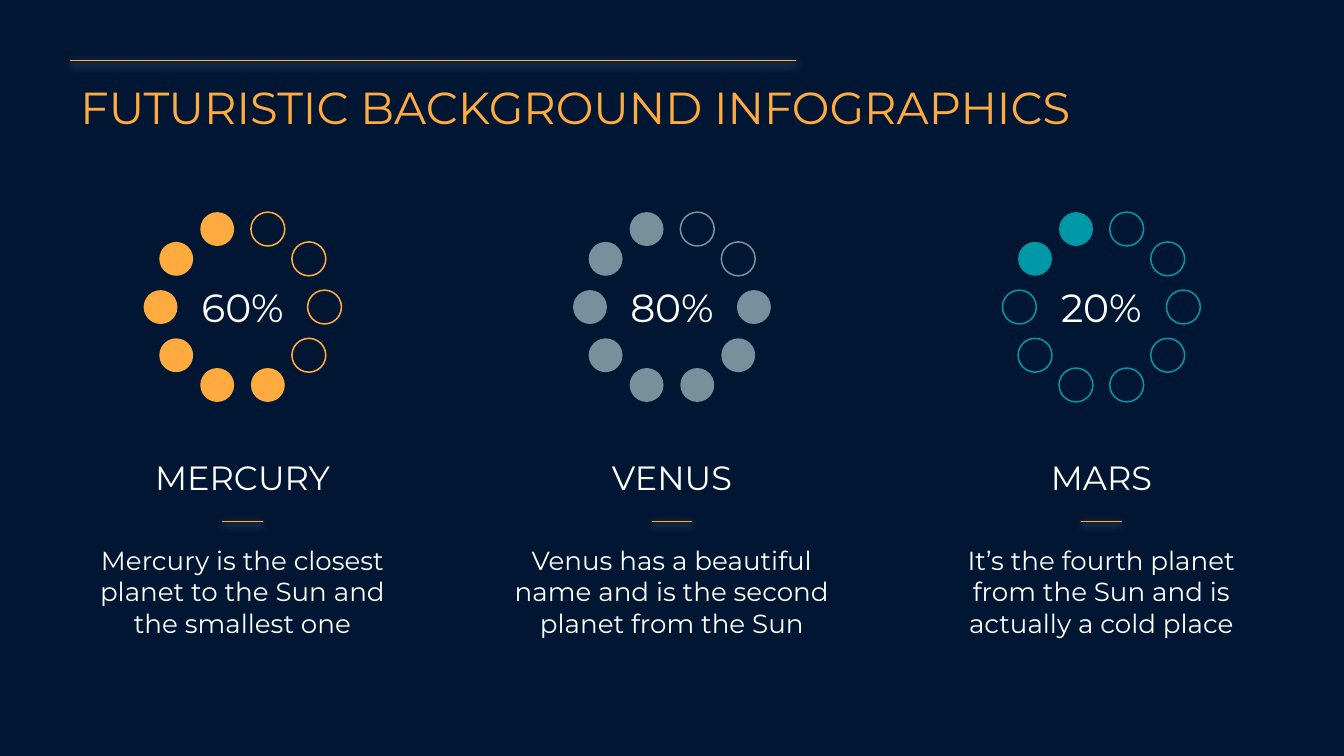
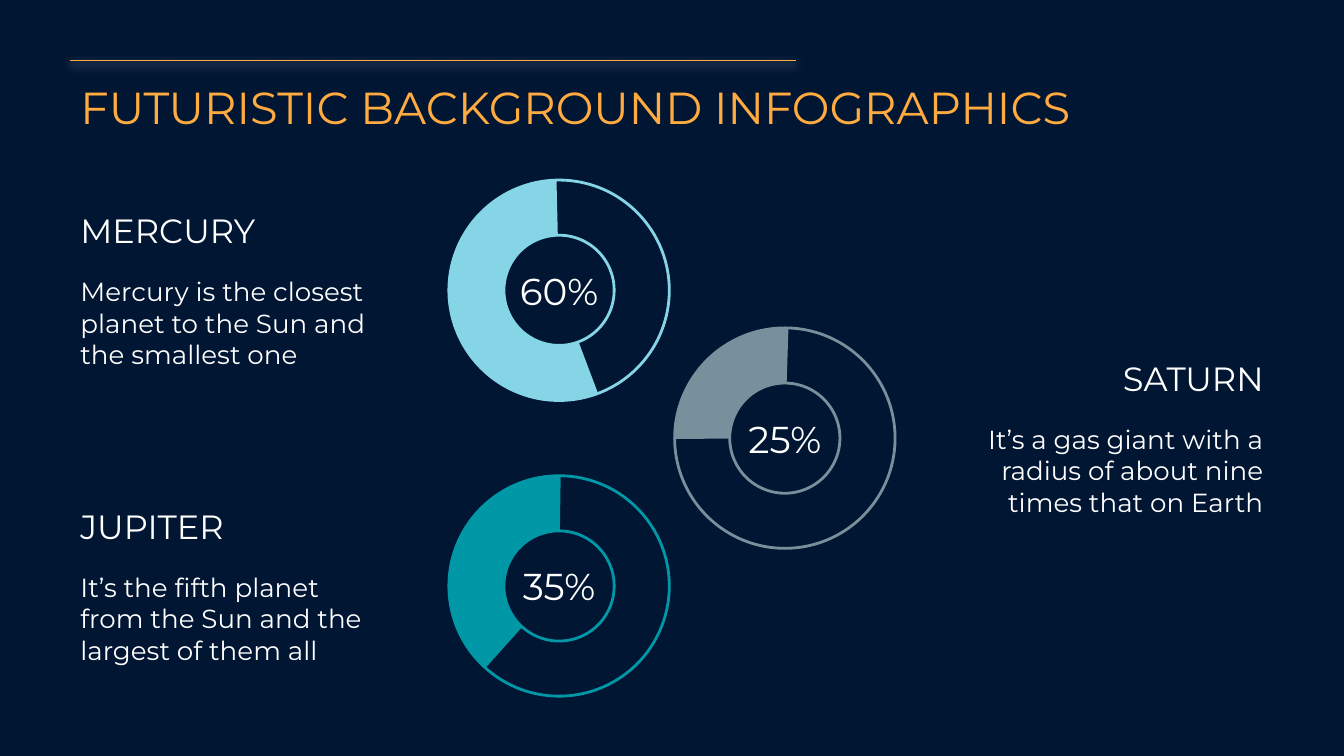
import math

from lxml import etree
from pptx import Presentation
from pptx import util as u
from pptx.dml.color import RGBColor
from pptx.enum import shapes as sh, text as tx
from pptx.oxml import ns

COLS = 100  # the slide is 100 square grid cells wide, 56.25 high
NAVY, WHITE, GOLD = "001633", "FFFFFF", "FFAB40"
GREY, TEAL, SKY = "78909C", "0097A7", "85D5E6"
ALIGN = {"l": tx.PP_ALIGN.LEFT, "c": tx.PP_ALIGN.CENTER, "r": tx.PP_ALIGN.RIGHT}
ANCHOR = {"t": tx.MSO_ANCHOR.TOP, "m": tx.MSO_ANCHOR.MIDDLE, "b": tx.MSO_ANCHOR.BOTTOM}


def color(code):
    return RGBColor.from_string(code)


def glow(line):
    """Give a line its soft white shadow."""
    fx = etree.SubElement(line._element.spPr, ns.qn("a:effectLst"))
    shade = etree.SubElement(fx, ns.qn("a:outerShdw"), blurRad="57150",
                             dist="19050", dir="5400000", algn="bl", rotWithShape="0")
    tint = etree.SubElement(shade, ns.qn("a:srgbClr"), val=WHITE)
    etree.SubElement(tint, ns.qn("a:alpha"), val="50000")


class Deck:
    font = "Montserrat"

    def __init__(self):
        self.prs = Presentation()
        self.prs.slide_width = u.Inches(10)
        self.prs.slide_height = u.Inches(5.625)
        self.cell = self.prs.slide_width / COLS
        self.slide = None

    def grid(self, *cells):
        return [u.Emu(round(n * self.cell)) for n in cells]

    def page(self, title):
        """Start a slide with the shared background, rule and title."""
        self.slide = self.prs.slides.add_slide(self.prs.slide_layouts[6])
        back = self.slide.background.fill
        back.solid()
        back.fore_color.rgb = color(NAVY)
        self.rule(5.2, 59.2, 4.5)
        self.text(title, 5, 4.9, 87.5, 5.2, size=24, ink=GOLD)

    def rule(self, start, end, row):
        line = self.slide.shapes.add_connector(
            sh.MSO_CONNECTOR.STRAIGHT, *self.grid(start, row, end, row))
        line.line.color.rgb = color(GOLD)
        line.line.width = u.Pt(0.75)
        glow(line)

    def text(self, words, x, y, w, h, size=14, ink=WHITE, align="l", anchor="t"):
        frame = self.slide.shapes.add_textbox(*self.grid(x, y, w, h)).text_frame
        frame.word_wrap = True
        frame.vertical_anchor = ANCHOR[anchor]
        frame.margin_left = frame.margin_right = u.Inches(0.1)
        frame.margin_top = frame.margin_bottom = u.Inches(0.1)
        frame.text = words
        for par in frame.paragraphs:
            par.alignment = ALIGN[align]
            for run in par.runs:
                run.font.name = self.font
                run.font.size = u.Pt(size)
                run.font.color.rgb = color(ink)

    def shape(self, kind, x, y, size, fill=None, line=None, width=1, adjust=()):
        item = self.slide.shapes.add_shape(kind, *self.grid(x, y, size, size))
        item.shadow.inherit = False
        for spot, value in enumerate(adjust):
            item.adjustments[spot] = value
        if fill:
            item.fill.solid()
            item.fill.fore_color.rgb = color(fill)
        else:
            item.fill.background()
        if line:
            item.line.color.rgb = color(line)
            item.line.width = u.Pt(width)
        else:
            item.line.fill.background()

    def ring(self, mid, row, share, hue):
        """Ten dots, filled counterclockwise from the top, one per 10%."""
        reach, size = 6.1, 2.52
        for step in range(10):
            turn = math.radians(-108 - 36 * step)
            full = step < share // 10
            self.shape(sh.MSO_SHAPE.OVAL,
                       mid + reach * math.cos(turn) - size / 2,
                       row + reach * math.sin(turn) - size / 2,
                       size, fill=hue if full else None,
                       line=None if full else hue, width=0.83)
        self.text(f"{share}%", mid - 7.3, row - 3.05, 14.6, 6,
                  size=21, align="c", anchor="m")

    def donut(self, x, y, share, hue, start, end, hole):
        """Outlined donut with a filled arc between two angles in degrees."""
        size = 16.4
        self.shape(sh.MSO_SHAPE.DONUT, x, y, size, line=hue, width=1.5, adjust=[0.25])
        # angles count 60000 units a degree, adjustments 100000 units
        self.shape(sh.MSO_SHAPE.BLOCK_ARC, x, y, size, fill=hue,
                   adjust=[start * 0.6, end * 0.6, hole])
        self.text(f"{share}%", x, y + 6, size, 4.4, size=20, align="c", anchor="m")

    def label(self, name, about, x, y, w, drop, align):
        self.text(name, x, y, w, 6, size=18, align=align, anchor="b")
        self.text(about, x, y + drop, w, 8.5, align=align)


def main():
    deck = Deck()
    title = "FUTURISTIC BACKGROUND INFOGRAPHICS"

    # Slide 1: three dotted rings in equal columns
    deck.page(title)
    wide, pitch = 26.1, 31.95
    rings = [
        ("MERCURY", "Mercury is the closest planet to the Sun and\nthe smallest one", 60, GOLD),
        ("VENUS", "Venus has a beautiful name and is the second planet from the Sun", 80, GREY),
        ("MARS", "It’s the fourth planet from the Sun and is actually a cold place", 20, TEAL),
    ]
    for col, (name, about, share, hue) in enumerate(rings):
        left = 5 + col * pitch
        mid = left + wide / 2
        deck.ring(mid, 22.85, share, hue)
        deck.label(name, about, left, 32, wide, 7.5, "c")
        deck.rule(mid - 1.5, mid + 1.5, 38.8)

    # Slide 2: three staggered donuts with labels at the sides
    deck.page(title)
    donuts = [
        ("MERCURY", "Mercury is the closest planet to the Sun and the smallest one",
         60, SKY, 69.28, 268.68, 0.25),
        ("SATURN", "It’s a gas giant with a radius of about nine times that on Earth",
         25, GREY, 179.53, 271.88, 0.25),
        ("JUPITER", "It’s the fifth planet from the Sun and the largest of them all",
         35, TEAL, 131.9, 270.85, 0.25),
    ]
    for row, (name, about, share, hue, *arc) in enumerate(donuts):
        top = 13.4 + 11 * row
        right = row % 2 == 1
        deck.donut(50.2 if right else 33.4, top, share, hue, *arc)
        deck.label(name, about, 70.6 if right else 5, top + 0.25, 24.4, 5.85,
                   "r" if right else "l")

    deck.prs.save("out.pptx")


if __name__ == "__main__":
    main()
